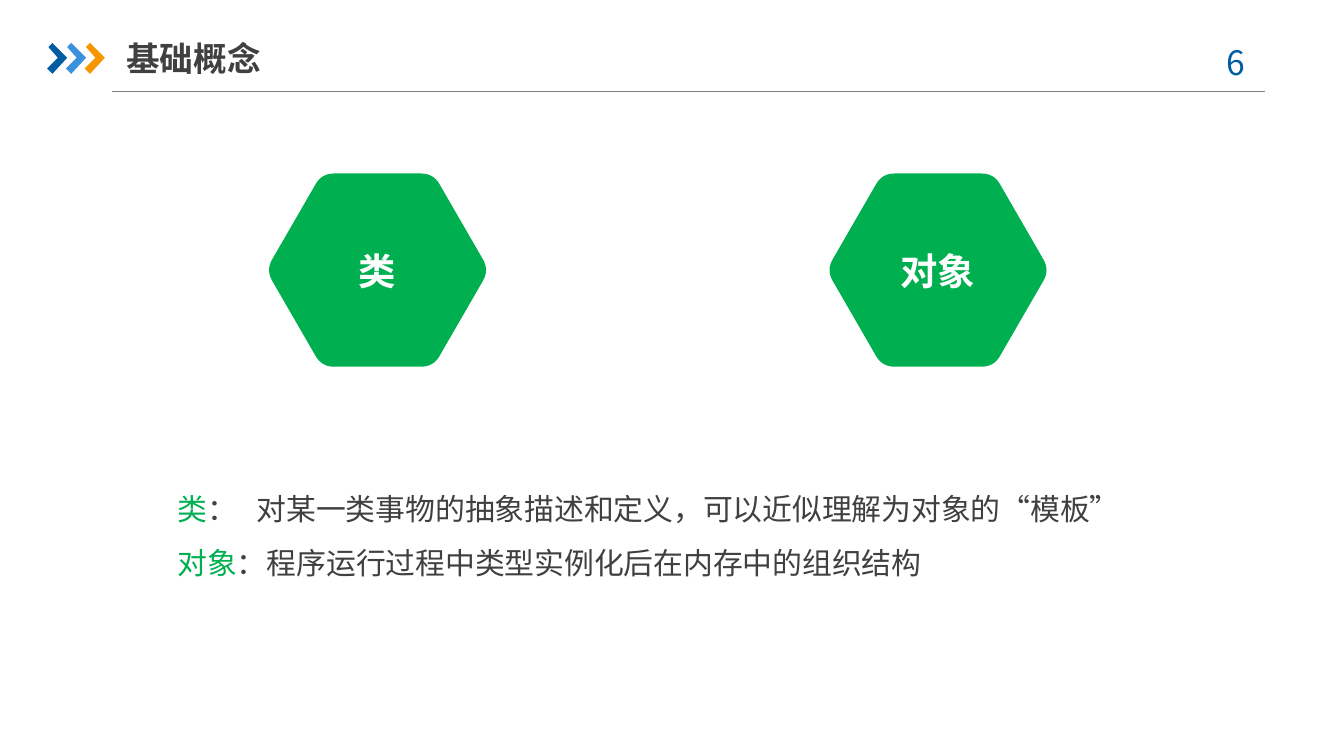
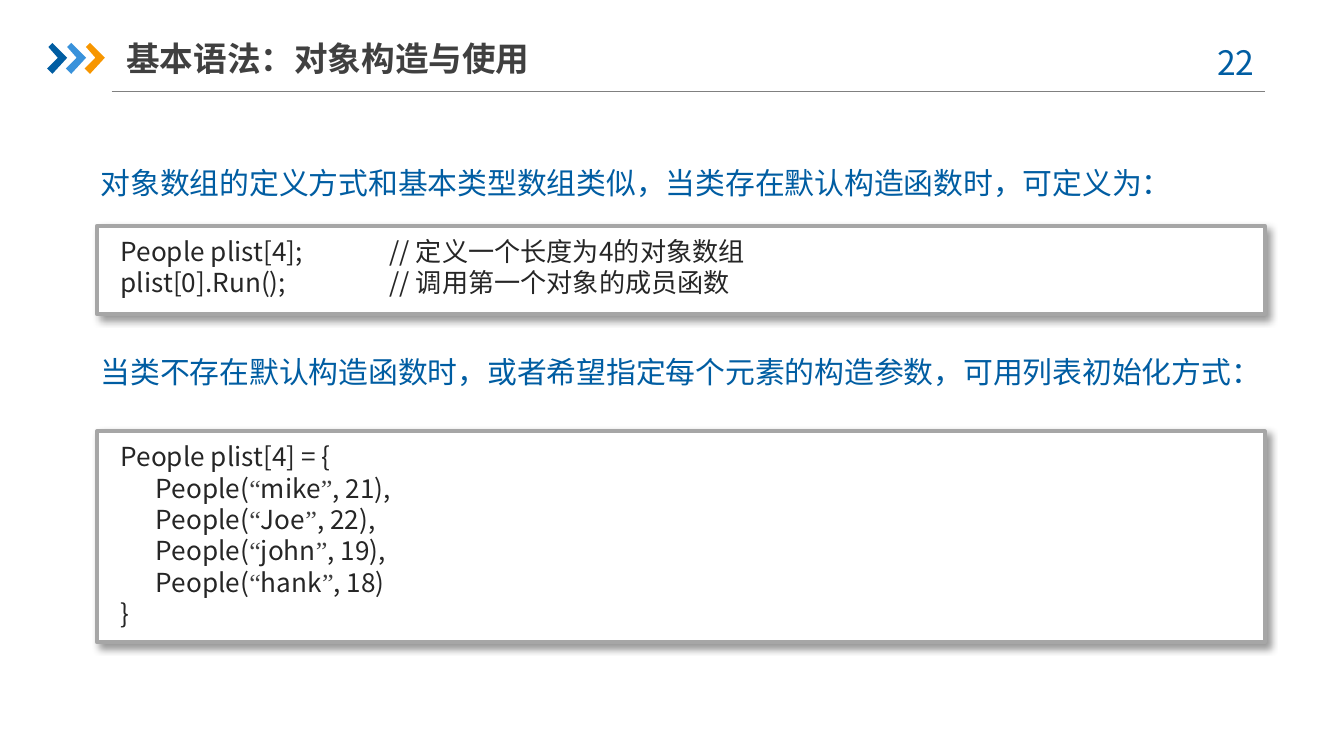
from dataclasses import dataclass
from math import cos, pi, sin

from lxml.etree import SubElement
from pptx import Presentation
from pptx.dml.color import RGBColor
from pptx.enum.shapes import MSO_CONNECTOR, MSO_SHAPE
from pptx.enum.text import MSO_ANCHOR, MSO_AUTO_SIZE, PP_ALIGN
from pptx.oxml.ns import qn
from pptx.util import Inches, Pt


@dataclass(frozen=True)
class Theme:
    font: str = "Noto Sans CJK SC"
    quote_font: str = "Times New Roman"
    blue: str = "005DA2"
    light_blue: str = "3992DB"
    orange: str = "F79600"
    green: str = "00B050"
    text: str = "404040"
    code: str = "262626"
    rule: str = "808080"
    frame: str = "A6A6A6"
    white: str = "FFFFFF"
    title_size: int = 18
    label_size: int = 20
    body_size: int = 16
    code_size: int = 14


theme = Theme()


def draw_polygon(shapes, points, color):
    corners = [(Inches(x), Inches(y)) for x, y in points]
    builder = shapes.build_freeform(*corners[0])
    builder.add_line_segments(corners[1:], close=True)
    polygon = builder.convert_to_shape()
    polygon.shadow.inherit = False
    polygon.fill.solid()
    polygon.fill.fore_color.rgb = RGBColor.from_string(color)
    polygon.line.fill.background()
    return polygon


def write_text(box, lines, size, color, bold=False, align=PP_ALIGN.LEFT,
               line_spacing=None, space_after=0, tab=None, margins=(0.1, 0.05)):
    """Fill a box with lines, each a list of run texts, in one style."""
    frame = box.text_frame
    frame.word_wrap = True
    frame.auto_size = MSO_AUTO_SIZE.NONE
    frame.margin_left = frame.margin_right = Inches(margins[0])
    frame.margin_top = frame.margin_bottom = Inches(margins[1])
    for index, texts in enumerate(lines):
        para = frame.add_paragraph() if index else frame.paragraphs[0]
        para.alignment = align
        para.line_spacing = line_spacing
        para.space_before = Pt(0)
        para.space_after = Pt(space_after)
        for text in texts:
            span = para.add_run()
            span.text = text
            span.font.name = theme.font
            span.font.size = Pt(size)
            span.font.bold = bold
            span.font.color.rgb = RGBColor.from_string(color)
    for properties in box.element.iter(qn("a:pPr")):
        properties.set("marL", "0")
        properties.set("indent", "0")
        SubElement(properties, qn("a:buNone"))
        if tab:
            properties.set("defTabSz", str(Inches(tab)))


deck = Presentation()
deck.slide_width = Inches(10)
deck.slide_height = deck.slide_width * 9 // 16
concepts = deck.slides.add_slide(deck.slide_layouts[1])
syntax = deck.slides.add_slide(deck.slide_layouts[5])

# Header band, drawn once and moved to the slide master
rule = concepts.shapes.add_connector(
    MSO_CONNECTOR.STRAIGHT, Inches(0.83), Inches(0.68), Inches(9.41), Inches(0.68))
rule.line.color.rgb = RGBColor.from_string(theme.rule)
rule.line.width = Pt(0.75)
SubElement(rule.element.spPr, qn("a:effectLst"))
band = [rule]
chevron = [(0.01, 0.03), (0.04, 0), (0.15, 0.11), (0.04, 0.23), (0, 0.19), (0.08, 0.11)]
for index, color in enumerate([theme.blue, theme.light_blue, theme.orange]):
    points = [(0.35 + 0.14 * index + x, 0.32 + y) for x, y in chevron]
    band.append(draw_polygon(concepts.shapes, points, color))
for shape in band:
    deck.slide_master.shapes.element.append(shape.element)

# Titles and page numbers
for slide, title_text, title_width, number in [
    (concepts, "基础概念", 2.33, "6 "),
    (syntax, "基本语法：对象构造与使用", 4.3, "22 "),
]:
    title = slide.shapes.title
    title.left, title.top = Inches(0.94), Inches(0.22)
    title.width, title.height = Inches(title_width), Inches(0.42)
    title.text_frame.vertical_anchor = MSO_ANCHOR.MIDDLE
    write_text(title, [[title_text]], theme.title_size, theme.text, bold=True,
               margins=(0, 0.05))
    box = slide.shapes.add_textbox(Inches(8.86), Inches(0.26), Inches(0.73), Inches(0.4))
    write_text(box, [[number]], theme.title_size, theme.blue, align=PP_ALIGN.CENTER)

# Concepts: two hexagons with rounded corners
radius, center_y = 0.83, 2.01
rounding, steps = 0.11, 8
for center_x, label in [(2.81, "类"), (6.98, "对象")]:
    corners = [(center_x + radius * cos(side * pi / 3),
                center_y + radius * sin(side * pi / 3)) for side in range(6)]
    outline = []
    for index, (x, y) in enumerate(corners):
        before, after = corners[index - 1], corners[(index + 1) % 6]
        for step in range(steps + 1):
            t = step / steps
            to_before, to_after = rounding * (1 - t) ** 2, rounding * t ** 2
            outline.append((x + to_before * (before[0] - x) + to_after * (after[0] - x),
                            y + to_before * (before[1] - y) + to_after * (after[1] - y)))
    draw_polygon(concepts.shapes, outline, theme.green)
    box = concepts.shapes.add_textbox(
        Inches(center_x - 0.53), Inches(1.85), Inches(1.06), Inches(0.34))
    write_text(box, [[label]], theme.label_size, theme.white, bold=True,
               align=PP_ALIGN.CENTER, margins=(0, 0))

definitions = concepts.placeholders[1]
definitions.left, definitions.top = Inches(1.22), Inches(3.47)
definitions.width, definitions.height = Inches(7.57), Inches(0.87)
write_text(definitions, [
    ["类", "：\t对某一类事物的抽象描述和定义，可以近似理解为对象的“模板”"],
    ["对象", "：程序运行过程中类型实例化后在内存中的组织结构"],
], theme.body_size, theme.text, line_spacing=1.5, tab=0.59)
for para in definitions.text_frame.paragraphs:
    para.runs[0].font.color.rgb = RGBColor.from_string(theme.green)

# Syntax: two headings, each above a framed listing
people = [("mike", "21),"), ("Joe", "22),"), ("john", "19),"), ("hank", "18)")]
array_code = [["People plist[4];\t// 定义一个长度为4的对象数组"],
              ["plist[0].Run();\t// 调用第一个对象的成员函数"]]
list_code = [["People plist[4] = {"],
             *[["      People(", "“", name, "”", f", {age}"] for name, age in people],
             ["}"]]
for heading, heading_top, frame_top, frame_height, code in [
    ("对象数组的定义方式和基本类型数组类似，当类存在默认构造函数时，可定义为：",
     1.18, 1.68, 0.66, array_code),
    ("当类不存在默认构造函数时，或者希望指定每个元素的构造参数，可用列表初始化方式：",
     2.58, 3.21, 1.57, list_code),
]:
    box = syntax.shapes.add_textbox(
        Inches(0.65), Inches(heading_top), Inches(9), Inches(0.37))
    write_text(box, [[heading]], theme.body_size, theme.blue, space_after=6)

    listing = syntax.shapes.add_group_shape()
    frame = listing.shapes.add_shape(
        MSO_SHAPE.RECTANGLE, Inches(0.72), Inches(frame_top),
        Inches(8.69), Inches(frame_height))
    frame.fill.solid()
    frame.fill.fore_color.rgb = RGBColor.from_string(theme.white)
    frame.line.color.rgb = RGBColor.from_string(theme.frame)
    frame.line.width = Pt(2)
    frame.shadow.inherit = False
    shadow = SubElement(frame.element.spPr.find(qn("a:effectLst")), qn("a:outerShdw"),
                        blurRad=str(Pt(4)), dist=str(Pt(3)), dir=str(45 * 60000),
                        algn="tl", rotWithShape="0")
    shadow_color = SubElement(shadow, qn("a:srgbClr"), val="000000")
    SubElement(shadow_color, qn("a:alpha"), val="40000")

    box = listing.shapes.add_textbox(
        Inches(0.8), Inches(frame_top + 0.02), Inches(8.39), Inches(frame_height - 0.06))
    write_text(box, code, theme.code_size, theme.code, tab=2)
    for para in box.text_frame.paragraphs:
        for span in para.runs:
            if span.text in ("“", "”"):
                span.font.name = theme.quote_font
                span.font.color.rgb = RGBColor.from_string(theme.text)

# East Asian glyphs use the same typeface as the Latin ones
for slide in deck.slides:
    for latin in list(slide.shapes.element.iter(qn("a:latin"))):
        east_asian = SubElement(latin.getparent(), qn("a:ea"))
        east_asian.set("typeface", latin.get("typeface"))

deck.save("out.pptx")
